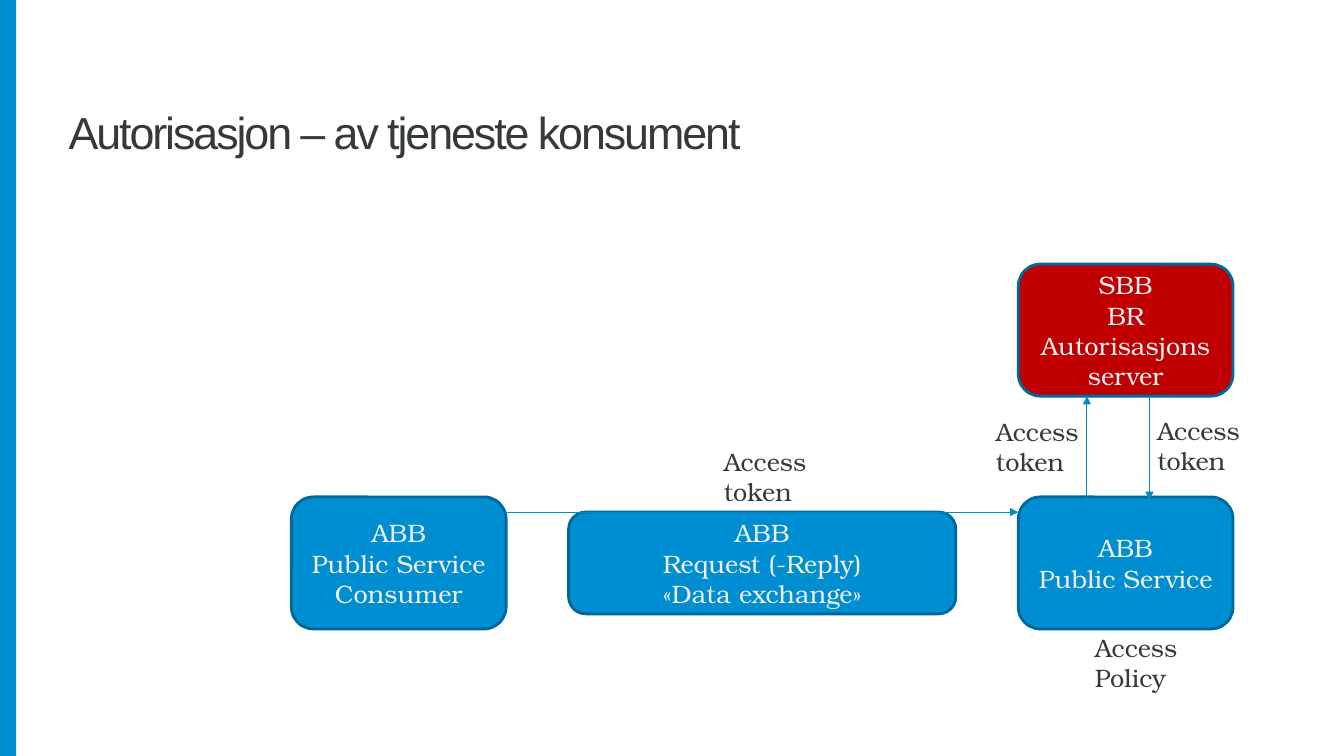
from lxml.etree import SubElement
from pptx import Presentation
from pptx.dml.color import RGBColor
from pptx.enum.shapes import MSO_CONNECTOR, MSO_SHAPE
from pptx.enum.text import MSO_ANCHOR, MSO_AUTO_SIZE, PP_ALIGN
from pptx.oxml.ns import qn
from pptx.util import Inches, Pt

BLUE, RED, EDGE, ARROW = "008ED2", "C00000", "00699B", "008BCD"
DARK, LIGHT, WHITE = "35393C", "F0F0F2", "FFFFFF"
BODY_FONT = "TeX Gyre Bonum"

BOX_WIDTH, BOX_HEIGHT = 2.13, 1.31
SERVICE_LEFT, SERVICE_TOP = 10.1, 4.93


def color(value):
    return RGBColor.from_string(value)


def write_lines(frame, lines, size, font, text_color, align):
    frame.text = "\n".join(lines)
    for para in frame.paragraphs:
        para.alignment = align
        for span in para.runs:
            span.font.size = Pt(size)
            span.font.name = font
            span.font.color.rgb = color(text_color)


def add_side_bar(slide):
    bar = slide.shapes.add_shape(
        MSO_SHAPE.RECTANGLE, 0, 0, Inches(0.16), Inches(7.5))
    bar.shadow.inherit = False
    bar.fill.solid()
    bar.fill.fore_color.rgb = color(BLUE)
    bar.line.fill.background()


def set_title(slide, text):
    title = slide.shapes.title
    title.left, title.top = Inches(0.55), Inches(0.26)
    title.width, title.height = Inches(12.23), Inches(1.38)
    frame = title.text_frame
    write_lines(frame, [text], 32, "Arial", DARK, PP_ALIGN.LEFT)
    frame.auto_size = MSO_AUTO_SIZE.NONE
    frame.vertical_anchor = MSO_ANCHOR.BOTTOM
    frame.margin_left = frame.margin_right = Inches(0.13)
    frame.margin_top = frame.margin_bottom = Inches(0.07)
    # Tight letter spacing, in hundredths of a point
    frame.paragraphs[0].runs[0].font._element.set("spc", "-150")


def add_block(slide, left, top, lines, fill=BLUE,
              width=BOX_WIDTH, height=BOX_HEIGHT):
    box = slide.shapes.add_shape(
        MSO_SHAPE.ROUNDED_RECTANGLE,
        Inches(left), Inches(top), Inches(width), Inches(height))
    box.shadow.inherit = False
    box.fill.solid()
    box.fill.fore_color.rgb = color(fill)
    box.line.color.rgb = color(EDGE)
    box.line.width = Pt(2)
    frame = box.text_frame
    frame.word_wrap = True
    frame.vertical_anchor = MSO_ANCHOR.MIDDLE
    write_lines(frame, lines, 18, BODY_FONT, LIGHT, PP_ALIGN.CENTER)


def add_arrow(slide, start, end):
    arrow = slide.shapes.add_connector(
        MSO_CONNECTOR.STRAIGHT, *map(Inches, start + end))
    arrow.line.color.rgb = color(ARROW)
    arrow.line.width = Pt(0.75)
    SubElement(arrow.line._get_or_add_ln(), qn("a:tailEnd"), type="triangle")
    SubElement(arrow._element.spPr, qn("a:effectLst"))


def add_label(slide, left, top, lines, width=1.09):
    label = slide.shapes.add_textbox(
        Inches(left), Inches(top), Inches(width), Inches(0.71))
    frame = label.text_frame
    frame.word_wrap = False
    frame.auto_size = MSO_AUTO_SIZE.SHAPE_TO_FIT_TEXT
    write_lines(frame, lines, 18, BODY_FONT, DARK, PP_ALIGN.LEFT)


def main():
    deck = Presentation()
    deck.slide_width, deck.slide_height = Inches(13.33), Inches(7.5)
    slide = deck.slides.add_slide(deck.slide_layouts[5])
    slide.background.fill.solid()
    slide.background.fill.fore_color.rgb = color(WHITE)

    # Frame of the slide
    add_side_bar(slide)
    set_title(slide, "Autorisasjon – av tjeneste konsument")

    # Building blocks
    add_block(slide, 2.89, SERVICE_TOP, ["ABB", "Public Service Consumer"])
    add_block(slide, 5.64, 5.08,
              ["ABB", "Request (-Reply)", "«Data exchange»"],
              width=3.84, height=1.01)
    add_block(slide, SERVICE_LEFT, SERVICE_TOP, ["ABB", "Public Service"])
    add_block(slide, SERVICE_LEFT, 2.62,
              ["SBB", "BR Autorisasjons server"], fill=RED)

    # Token flow: consumer to service, then to the server and back
    add_arrow(slide, (5.01, 5.08), (SERVICE_LEFT, 5.08))
    add_arrow(slide, (10.78, 4.94), (10.78, 3.93))
    add_arrow(slide, (11.4, 3.95), (11.4, 4.96))

    # Labels
    for left, top in [(9.78, 4.08), (11.38, 4.07), (7.08, 4.38)]:
        add_label(slide, left, top, ["Access", "token"])
    add_label(slide, 10.76, 6.22, ["Access", "Policy"], width=1.02)

    deck.save("out.pptx")


if __name__ == "__main__":
    main()
